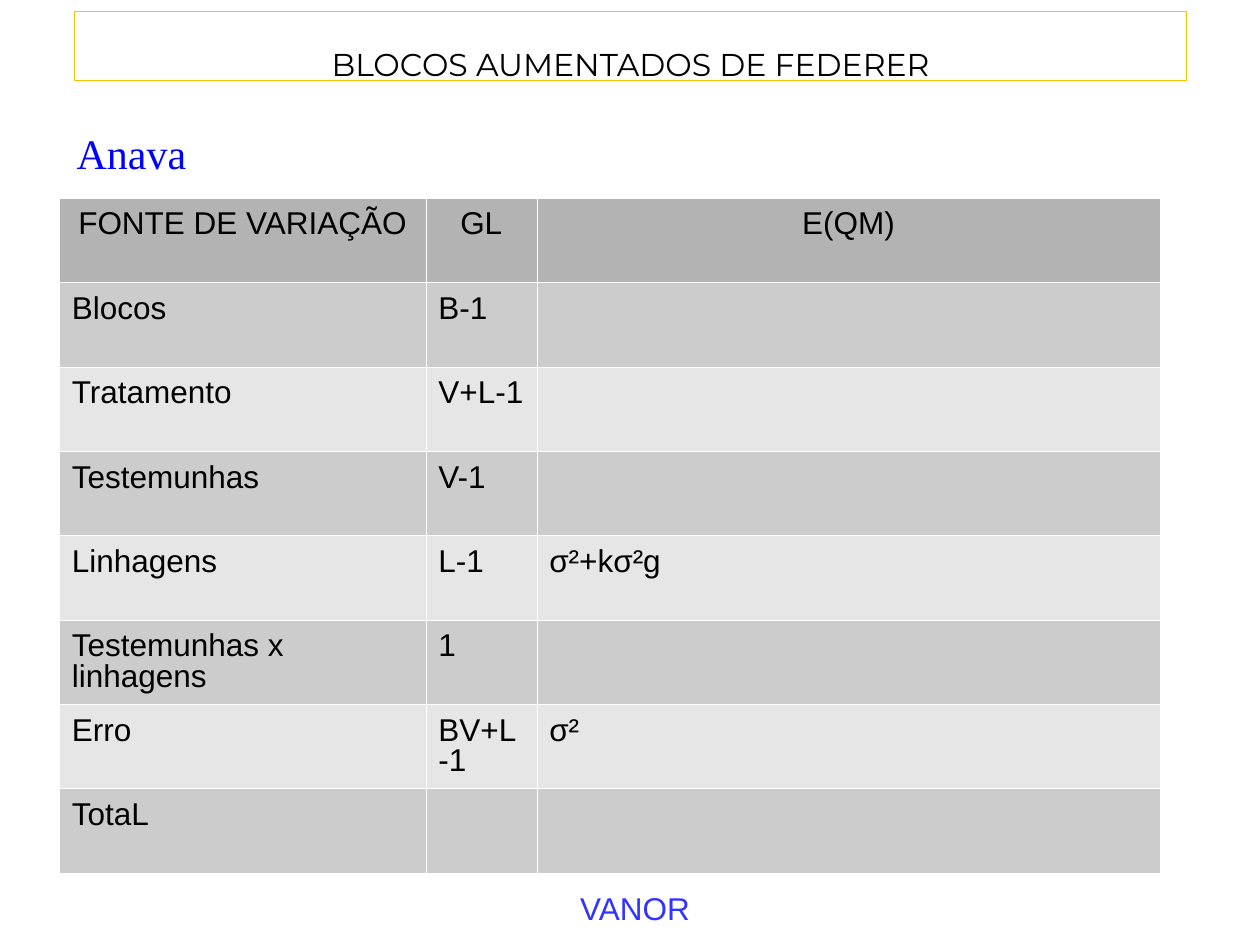
from lxml.etree import SubElement
from pptx import Presentation
from pptx.dml.color import RGBColor
from pptx.enum.shapes import MSO_SHAPE as Shape
from pptx.enum.text import MSO_ANCHOR as Anchor, PP_ALIGN as Align
from pptx.oxml.ns import qn
from pptx.util import Inches, Pt

THEME = {
    "black": RGBColor.from_string("000000"),
    "gold": RGBColor.from_string("FFC000"),
    "heading": RGBColor.from_string("0000FF"),
    "footer": RGBColor.from_string("3333FF"),
    "header_fill": RGBColor.from_string("B3B3B3"),
    "band_fills": [RGBColor.from_string("CCCCCC"), RGBColor.from_string("E6E6E6")],
    "border": "FFFFFF",
    "body_size": Pt(18),
    "heading_size": Pt(24),
}


def write_text(frame, text, font, size, color, align=Align.LEFT, **frame_format):
    """Write one styled paragraph in a text frame and return it."""
    for name, value in {"word_wrap": True, **frame_format}.items():
        setattr(frame, name, value)
    para = frame.paragraphs[0]
    para.alignment = align
    span = para.add_run()
    span.text = text
    for name, value in {"name": font, "size": size, "bold": False}.items():
        setattr(span.font, name, value)
    span.font.color.rgb = color
    return para


def add_borders(cell):
    """Give a table cell thin borders on its four sides."""
    properties = cell._tc.get_or_add_tcPr()
    for position, side in enumerate(("lnL", "lnR", "lnT", "lnB")):
        line = properties.makeelement(qn(f"a:{side}"), {"w": str(Pt(0.06))})
        fill = SubElement(line, qn("a:solidFill"))
        SubElement(fill, qn("a:srgbClr"), val=THEME["border"])
        properties.insert(position, line)


deck = Presentation()
deck.slide_width, deck.slide_height = Inches(10), Inches(7.5)
page = deck.slides.add_slide(deck.slide_layouts[6])

# Title
title_box = page.shapes.add_shape(
    Shape.RECTANGLE, Inches(0.59), Inches(0.09), Inches(8.83), Inches(0.55))
title_box.shadow.inherit = False
title_box.fill.background()
title_box.line.color.rgb = THEME["gold"]
title_box.line.width = Pt(0.74)
write_text(title_box.text_frame, "BLOCOS AUMENTADOS DE FEDERER", "Montserrat",
           THEME["body_size"], THEME["black"], Align.CENTER,
           vertical_anchor=Anchor.TOP, margin_top=Inches(0.27), margin_bottom=0)

# Analysis of variance table
HEADERS = ["FONTE DE VARIAÇÃO", "GL", "E(QM)"]
SOURCES = [
    ["Blocos", "B-1", ""],
    ["Tratamento", "V+L-1", ""],
    ["Testemunhas", "V-1", ""],
    ["Linhagens", "L-1", "σ²+kσ²g"],
    ["Testemunhas x linhagens", "1", ""],
    ["Erro", "BV+L-1", "σ²"],
    ["TotaL", "", ""],
]
COLUMN_WIDTHS = [2.91, 0.88, 4.95]
ROW_HEIGHT = 0.67
CELL_MARGINS = {"margin_left": Inches(0.1), "margin_right": Inches(0.1),
                "margin_top": Inches(0.1), "margin_bottom": Inches(0.05)}

rows = [HEADERS] + SOURCES
table = page.shapes.add_table(
    len(rows), len(HEADERS), Inches(0.47), Inches(1.57),
    Inches(sum(COLUMN_WIDTHS)), Inches(ROW_HEIGHT * len(rows))).table
for column, width in zip(table.columns, COLUMN_WIDTHS):
    column.width = Inches(width)
for row_index, texts in enumerate(rows):
    table.rows[row_index].height = Inches(ROW_HEIGHT)
    is_header = row_index == 0
    fill_color = THEME["header_fill"] if is_header else THEME["band_fills"][(row_index - 1) % 2]
    for column_index, text in enumerate(texts):
        cell = table.cell(row_index, column_index)
        for name, value in CELL_MARGINS.items():
            setattr(cell, name, value)
        cell.fill.solid()
        cell.fill.fore_color.rgb = fill_color
        add_borders(cell)
        if text:
            para = write_text(cell.text_frame, text, "Arial", THEME["body_size"],
                              THEME["black"], Align.CENTER if is_header else Align.LEFT)
            para.line_spacing = 0.87

# Heading above the table
heading_box = page.shapes.add_textbox(Inches(0.5), Inches(0.96), Inches(9), Inches(0.53))
heading = write_text(heading_box.text_frame, "Anava", "Times New Roman",
                     THEME["heading_size"], THEME["heading"])
for name, length in {"marL": 0.38, "indent": -0.37}.items():
    heading._p.get_or_add_pPr().set(name, str(Inches(length)))

# Footer
footer_box = page.shapes.add_textbox(Inches(2.68), Inches(7.01), Inches(4.72), Inches(0.38))
write_text(footer_box.text_frame, "VANOR", "Arial",
           THEME["body_size"], THEME["footer"], Align.CENTER)

deck.save("out.pptx")
